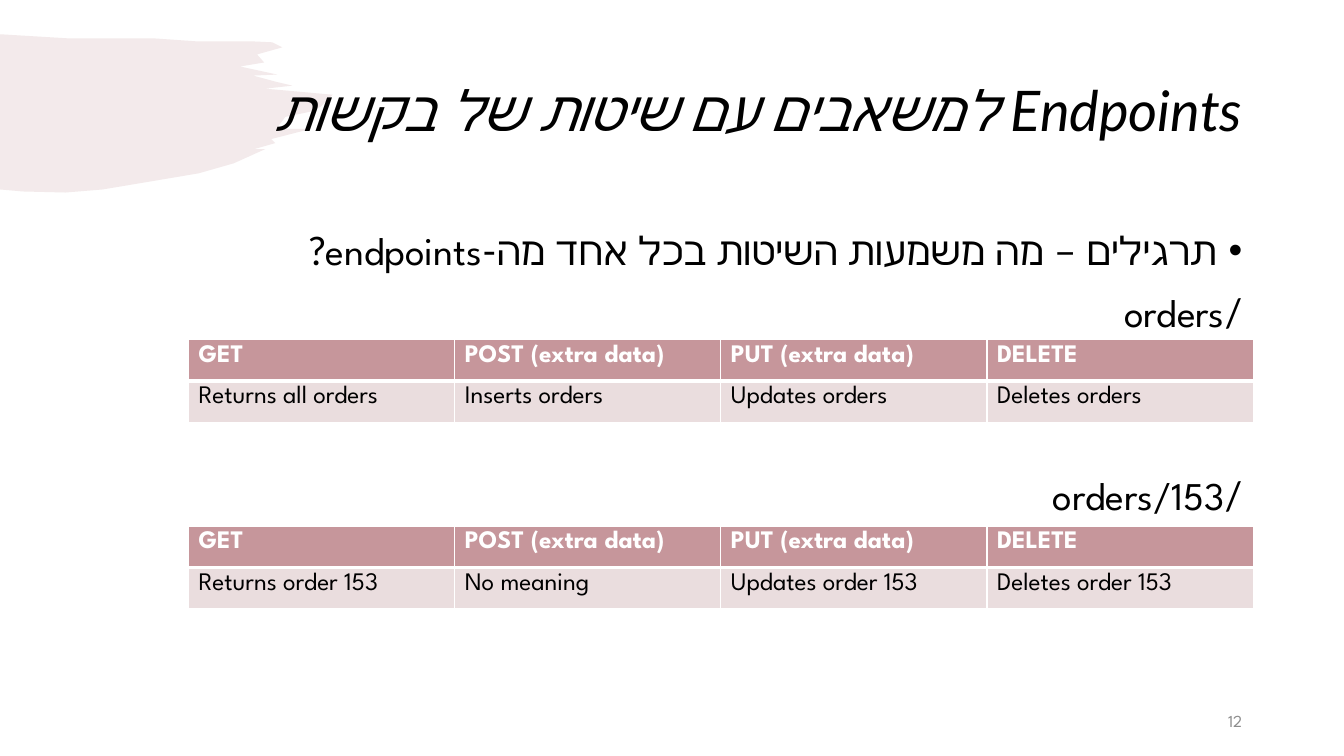
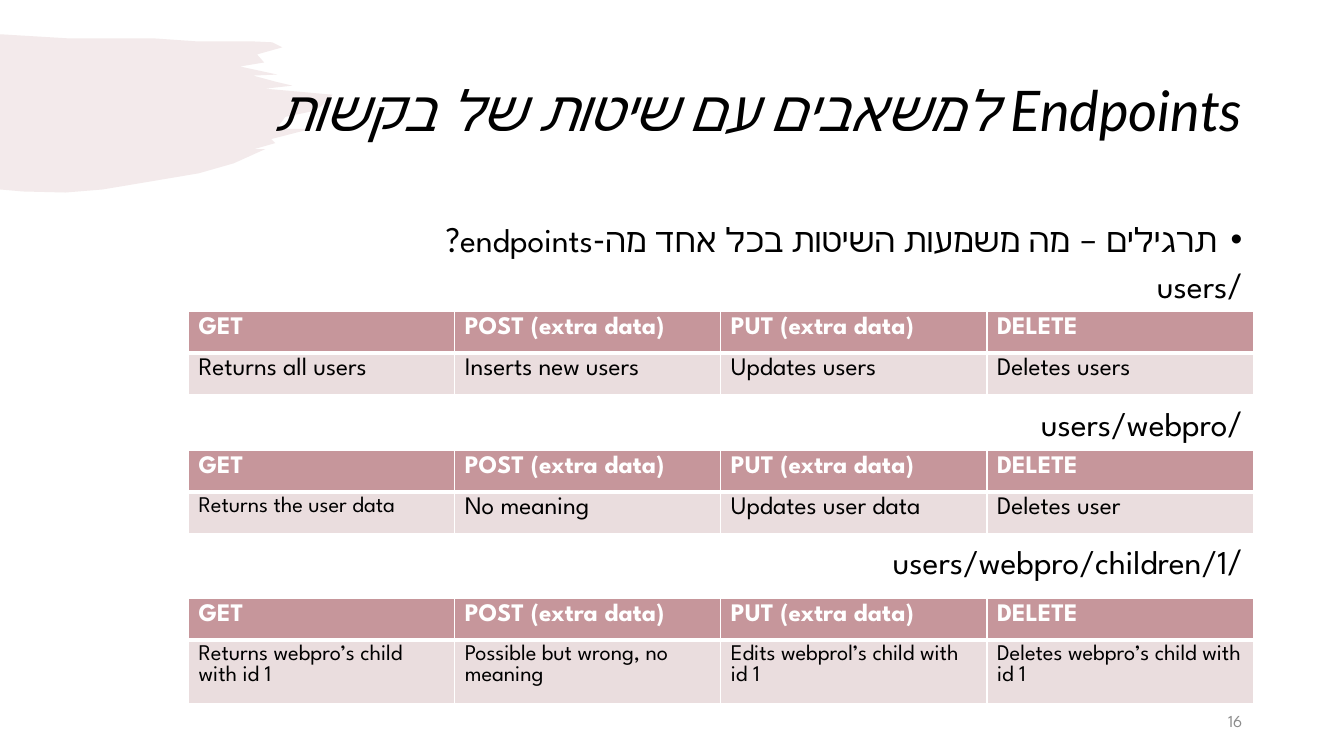
from lxml.etree import SubElement
from pptx import Presentation
from pptx.dml.color import RGBColor
from pptx.enum.text import MSO_ANCHOR, PP_ALIGN
from pptx.oxml.ns import qn
from pptx.util import Pt

# Shared style: 100 px to the inch
PX = 9144
SLIDE_WIDTH, SLIDE_HEIGHT = 1333, 750
TITLE_FONT, BODY_FONT = "Lato", "League Spartan"
ROSE, PALE_ROSE, GREY, BLACK, WHITE = "C6969B", "EADDDE", "8C8C8C", "000000", "FFFFFF"
TITLE_BOX = (92, 40, 1150, 145)
BODY_BOX = (92, 220, 1150, 455)
NUMBER_BOX = (942, 695, 300, 40)
TABLE_LEFT, COLUMN_WIDTH, ROW_HEIGHT = 187, 264, 41
TABLE_SIZE, SMALL_SIZE = 18, 16
PARAGRAPH_GAP = 10  # points
LINE_HEIGHT = 1.2   # of the font size
SKIPPED_LINES = 2   # text lines that each table takes up

# Content
TITLE = "Endpoints למשאבים עם שיטות של בקשות"
QUESTION = "תרגילים – מה משמעות השיטות בכל אחד מה-endpoints?"
METHODS = ["GET", "POST (extra data)", "PUT (extra data)", "DELETE"]
SLIDES = [
    {
        "number": "12", "size": 28, "line_spacing": 1.0,
        "endpoints": [
            {"path": "/orders", "top": 337, "meanings": [
                "Returns all orders", "Inserts orders", "Updates orders", "Deletes orders"]},
            {"path": "/orders/153", "top": 522, "meanings": [
                "Returns order 153", "No meaning", "Updates order 153", "Deletes order 153"]},
        ],
    },
    {
        "number": "16", "size": 23.8, "line_spacing": 0.8,
        "endpoints": [
            {"path": "/users", "top": 309, "meanings": [
                "Returns all users", "Inserts new users", "Updates users", "Deletes users"]},
            {"path": "/users/webpro", "top": 447, "small": ["Returns the user data"],
             "meanings": [
                 "Returns the user data", "No meaning", "Updates user data", "Deletes user"]},
            {"path": "/users/webpro/children/1", "top": 594, "row_height": 51, "meanings": [
                "Returns webpro’s child with id 1", "Possible but wrong, no meaning",
                "Edits webprol’s child with id 1", "Deletes webpro’s child with id 1"]},
        ],
    },
]

# Outline of the brush stroke, clockwise from the top left
BRUSH_POINTS = [
    (0, 34), (66, 38), (151, 38), (194, 41), (248, 41), (270, 42), (280, 47),
    (255, 54), (262, 62), (238, 66), (275, 74), (251, 75), (273, 81), (290, 85),
    (263, 88), (330, 94), (318, 106), (307, 111), (283, 116), (274, 128),
    (308, 128), (269, 138), (273, 142), (252, 148), (263, 148), (232, 162),
    (197, 172), (102, 188), (65, 191), (23, 190), (0, 188),
]


def px(*lengths):
    return [round(length * PX) for length in lengths]


def color(hex_value):
    return RGBColor.from_string(hex_value)


def add_run(paragraph, text, size, font_name, hex_value, bold=False, italic=False):
    run = paragraph.add_run()
    run.text = text
    font = run.font
    font.size, font.name, font.bold, font.italic = Pt(size), font_name, bold, italic
    font.color.rgb = color(hex_value)
    return run


def add_hebrew_run(paragraph, text, size, font_name, italic=False):
    """Right-to-left paragraph text, with its complex-script font."""
    paragraph.alignment = PP_ALIGN.RIGHT
    paragraph._p.get_or_add_pPr().set("rtl", "1")
    run = add_run(paragraph, text, size, font_name, BLACK, italic=italic)
    SubElement(run._r.get_or_add_rPr(), qn("a:cs"), typeface=TITLE_FONT)


def add_text_box(slide, box, anchor=MSO_ANCHOR.MIDDLE):
    frame = slide.shapes.add_textbox(*px(*box)).text_frame
    frame.word_wrap = True
    frame.vertical_anchor = anchor
    return frame


def add_brush(slide):
    start, *points = BRUSH_POINTS
    builder = slide.shapes.build_freeform(*start, scale=PX)
    builder.add_line_segments(points)
    brush = builder.convert_to_shape()
    brush.shadow.inherit = False
    brush.line.fill.background()
    brush.fill.solid()
    brush.fill.fore_color.rgb = color(ROSE)
    fill_color = brush._element.spPr.find(qn("a:solidFill"))[0]
    SubElement(fill_color, qn("a:alpha"), val="20000")


def add_body(slide, content):
    size, line_spacing = content["size"], content["line_spacing"]
    frame = add_text_box(slide, BODY_BOX, MSO_ANCHOR.TOP)
    table_gap = SKIPPED_LINES * (size * LINE_HEIGHT * line_spacing + PARAGRAPH_GAP)

    question = frame.paragraphs[0]
    properties = question._p.get_or_add_pPr()
    indent = px(25)[0]
    properties.set("marL", str(indent))
    properties.set("indent", str(-indent))
    SubElement(properties, qn("a:buFont"), typeface="Arial")
    SubElement(properties, qn("a:buChar"), char="•")
    question.line_spacing = line_spacing
    add_hebrew_run(question, QUESTION, size, BODY_FONT)

    for index, endpoint in enumerate(content["endpoints"]):
        paragraph = frame.add_paragraph()
        paragraph.line_spacing = line_spacing
        paragraph.space_before = Pt(PARAGRAPH_GAP + (table_gap if index else 0))
        add_hebrew_run(paragraph, endpoint["path"], size, BODY_FONT)


def style_cell(cell, text, size, is_header):
    add_run(cell.text_frame.paragraphs[0], text, size, BODY_FONT,
            WHITE if is_header else BLACK, bold=is_header)
    properties = cell._tc.get_or_add_tcPr()
    widths = {"lnL": 1, "lnR": 1, "lnT": 1 if is_header else 3, "lnB": 3 if is_header else 1}
    for side, width in widths.items():
        border = SubElement(properties, qn(f"a:{side}"), w=str(int(Pt(width))))
        SubElement(SubElement(border, qn("a:solidFill")), qn("a:srgbClr"), val=WHITE)
    cell.fill.solid()
    cell.fill.fore_color.rgb = color(ROSE if is_header else PALE_ROSE)


def add_method_table(slide, endpoint):
    heights = [ROW_HEIGHT, endpoint.get("row_height", ROW_HEIGHT)]
    # A taller row holds two small lines in every cell
    small = endpoint["meanings"] if "row_height" in endpoint else endpoint.get("small", [])
    columns = len(METHODS)
    table = slide.shapes.add_table(2, columns, *px(
        TABLE_LEFT, endpoint["top"], columns * COLUMN_WIDTH, sum(heights))).table
    table.horz_banding = False
    for row, height in zip(table.rows, px(*heights)):
        row.height = height
    for index, (method, meaning) in enumerate(zip(METHODS, endpoint["meanings"])):
        style_cell(table.cell(0, index), method, TABLE_SIZE, True)
        style_cell(table.cell(1, index), meaning,
                   SMALL_SIZE if meaning in small else TABLE_SIZE, False)


def add_slide(presentation, content):
    slide = presentation.slides.add_slide(presentation.slide_layouts[6])
    add_brush(slide)

    # Title
    title = add_text_box(slide, TITLE_BOX).paragraphs[0]
    title.line_spacing = 0.9
    add_hebrew_run(title, TITLE, 40, TITLE_FONT, italic=True)

    # Question, endpoints and their tables
    add_body(slide, content)
    for endpoint in content["endpoints"]:
        add_method_table(slide, endpoint)

    # Slide number
    number = add_text_box(slide, NUMBER_BOX).paragraphs[0]
    number.alignment = PP_ALIGN.RIGHT
    add_run(number, content["number"], 12, BODY_FONT, GREY)


def main():
    presentation = Presentation()
    presentation.slide_width, presentation.slide_height = px(SLIDE_WIDTH, SLIDE_HEIGHT)
    for content in SLIDES:
        add_slide(presentation, content)
    presentation.save("out.pptx")


if __name__ == "__main__":
    main()
